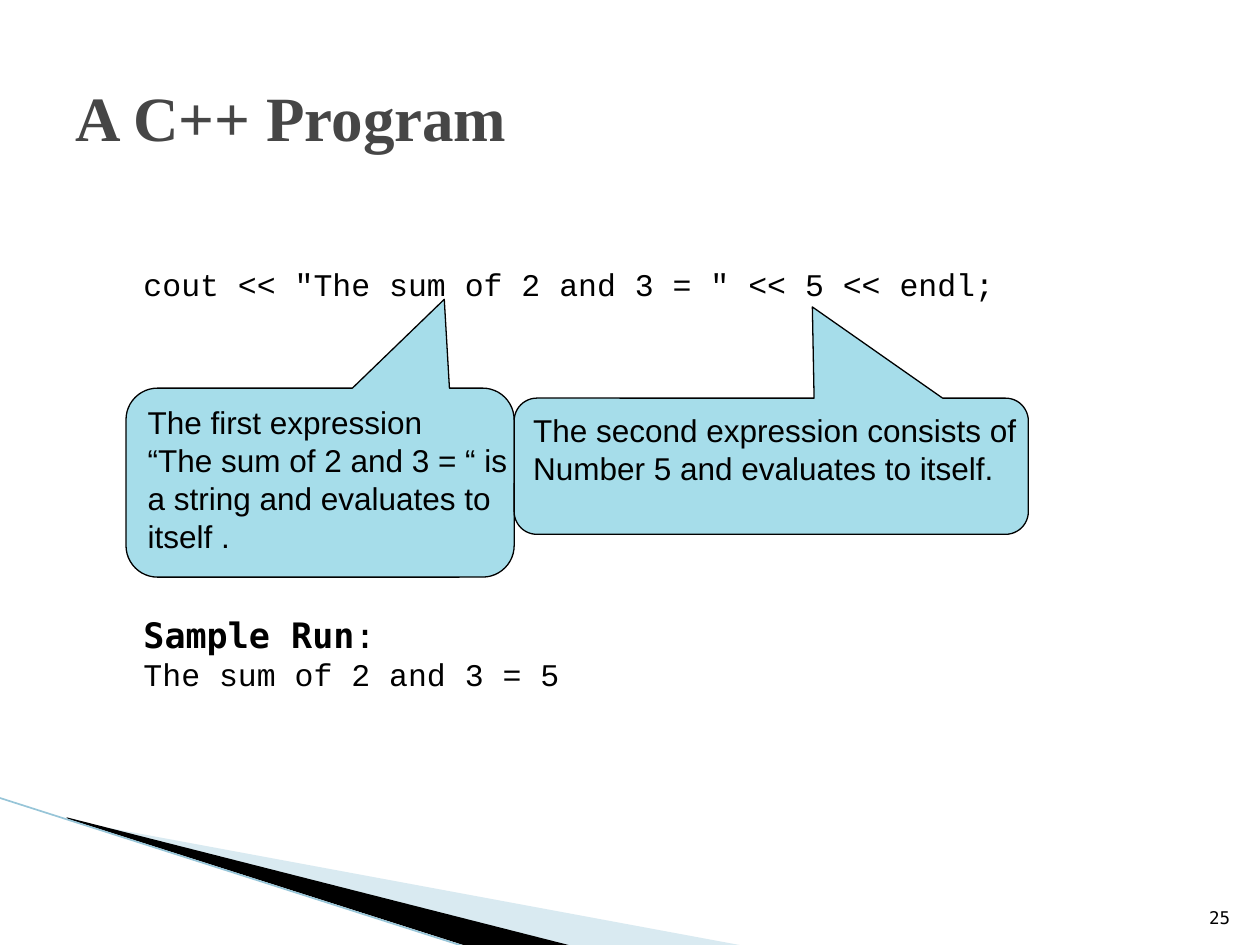
from lxml import etree
from pptx import Presentation
from pptx.dml.color import RGBColor
from pptx.enum.shapes import MSO_CONNECTOR, MSO_SHAPE
from pptx.enum.text import MSO_ANCHOR, MSO_AUTO_SIZE, PP_ALIGN
from pptx.oxml.ns import qn
from pptx.util import Pt

LEFT, RIGHT = PP_ALIGN.LEFT, PP_ALIGN.RIGHT
TOP, MIDDLE, BOTTOM = MSO_ANCHOR.TOP, MSO_ANCHOR.MIDDLE, MSO_ANCHOR.BOTTOM
NO_FIT = MSO_AUTO_SIZE.NONE
CALLOUT = MSO_SHAPE.ROUNDED_RECTANGULAR_CALLOUT
STRAIGHT = MSO_CONNECTOR.STRAIGHT


def rgb(hex_value):
    return RGBColor.from_string(hex_value)


def add_text(paragraph, text, font_name, size, color="000000", bold=False):
    run = paragraph.add_run()
    run.text = text
    font_format = {"name": font_name, "size": Pt(size), "bold": bold}
    for attribute, value in font_format.items():
        setattr(run.font, attribute, value)
    run.font.color.rgb = rgb(color)


prs = Presentation()
prs.slide_width, prs.slide_height = Pt(720), Pt(540)
slide = prs.slides.add_slide(prs.slide_layouts[1])
title, body = slide.shapes.title, slide.placeholders[1]

wedges = [
    ("A0CBDC", 40, [(39.6, 468.7), (428.4, 540.7), (328.3, 540.7), (39.6, 468)]),
    ("000000", 100, [(38.2, 467.3), (329, 540.7), (267.8, 541.4), (38.9, 468)]),
]
for color, opacity, points in wedges:
    outline = slide.shapes.build_freeform(*points[0], scale=Pt(1))
    outline.add_line_segments(points[1:], close=True)
    wedge = outline.convert_to_shape()
    wedge.shadow.inherit = False
    wedge.fill.solid()
    wedge.fill.fore_color.rgb = rgb(color)
    wedge.line.fill.background()
    if opacity < 100:
        fill_color = wedge.fill._xPr.find(qn("a:solidFill"))[0]
        etree.SubElement(fill_color, qn("a:alpha"), val=str(opacity * 1000))

edge = slide.shapes.add_connector(STRAIGHT, Pt(-0.7), Pt(455.8), Pt(267.1), Pt(541.4))
edge.line.color.rgb = rgb("97C5D8")
edge.line.width = Pt(0.95)
etree.SubElement(edge._element.spPr, qn("a:effectLst"))

page_number = slide.shapes.add_textbox(Pt(681), Pt(505), Pt(29), Pt(29))
frames = [
    (title, (36, 21.6, 648, 90), MIDDLE),
    (body, (66.2, 144, 617.8, 338.4), TOP),
    (page_number, (681, 505, 29, 29), BOTTOM),
]
for frame, box, anchor in frames:
    frame.left, frame.top, frame.width, frame.height = map(Pt, box)
    frame_format = {"word_wrap": True, "auto_size": NO_FIT, "vertical_anchor": anchor}
    for attribute, value in frame_format.items():
        setattr(frame.text_frame, attribute, value)

heading = title.text_frame.paragraphs[0]
heading.alignment = LEFT
add_text(heading, "A C++ Program", "Times New Roman", 36, "464646", True)

number = page_number.text_frame.paragraphs[0]
number.alignment = RIGHT
add_text(number, "25", "DejaVu Sans Mono", 10)

body.text_frame.margin_top = Pt(7.6)
code_lines = [
    (0, 1, [('cout << "The sum of 2 and 3 = " << 5 << endl;', "Courier New", 18, False)]),
    (182, 0.8, [("Sample Run", "DejaVu Sans Mono", 20, True),
                (":", "DejaVu Sans Mono", 20, False)]),
    (4, 0.8, [("The sum of 2 and 3 = 5", "Courier New", 18, False)]),
]
for index, (space_before, line_spacing, runs) in enumerate(code_lines):
    line = body.text_frame.paragraphs[0] if index == 0 else body.text_frame.add_paragraph()
    properties = line._p.get_or_add_pPr()
    properties.set("marL", str(Pt(28.8)))
    properties.set("indent", str(Pt(-20.2)))
    etree.SubElement(properties, qn("a:buNone"))
    line.space_before = Pt(space_before)
    line.line_spacing = line_spacing
    for text, font_name, size, bold in runs:
        add_text(line, text, font_name, size, bold=bold)

explanations = [
    ((72, 221.8, 221.8, 108), (0.32, -0.97),
     ["The first expression", "“The sum of 2 and 3 = “ is",
      "a string and evaluates to", "itself ."]),
    ((293.8, 227.5, 293.8, 77.8), (0.08, -1.17),
     ["The second expression consists of", "Number 5 and evaluates to itself."]),
]
for box, pointer, lines in explanations:
    callout = slide.shapes.add_shape(CALLOUT, *map(Pt, box))
    callout.adjustments[0], callout.adjustments[1] = pointer
    callout.shadow.inherit = False
    callout.fill.solid()
    callout.fill.fore_color.rgb = rgb("A6DDEA")
    callout.line.color.rgb = rgb("000000")
    callout.line.width = Pt(0.75)
    explanation = callout.text_frame
    explanation.word_wrap = False
    explanation.vertical_anchor = TOP
    for index, text in enumerate(lines):
        line = explanation.paragraphs[0] if index == 0 else explanation.add_paragraph()
        line.alignment = LEFT
        add_text(line, text, "Arial", 18)

prs.save("out.pptx")
